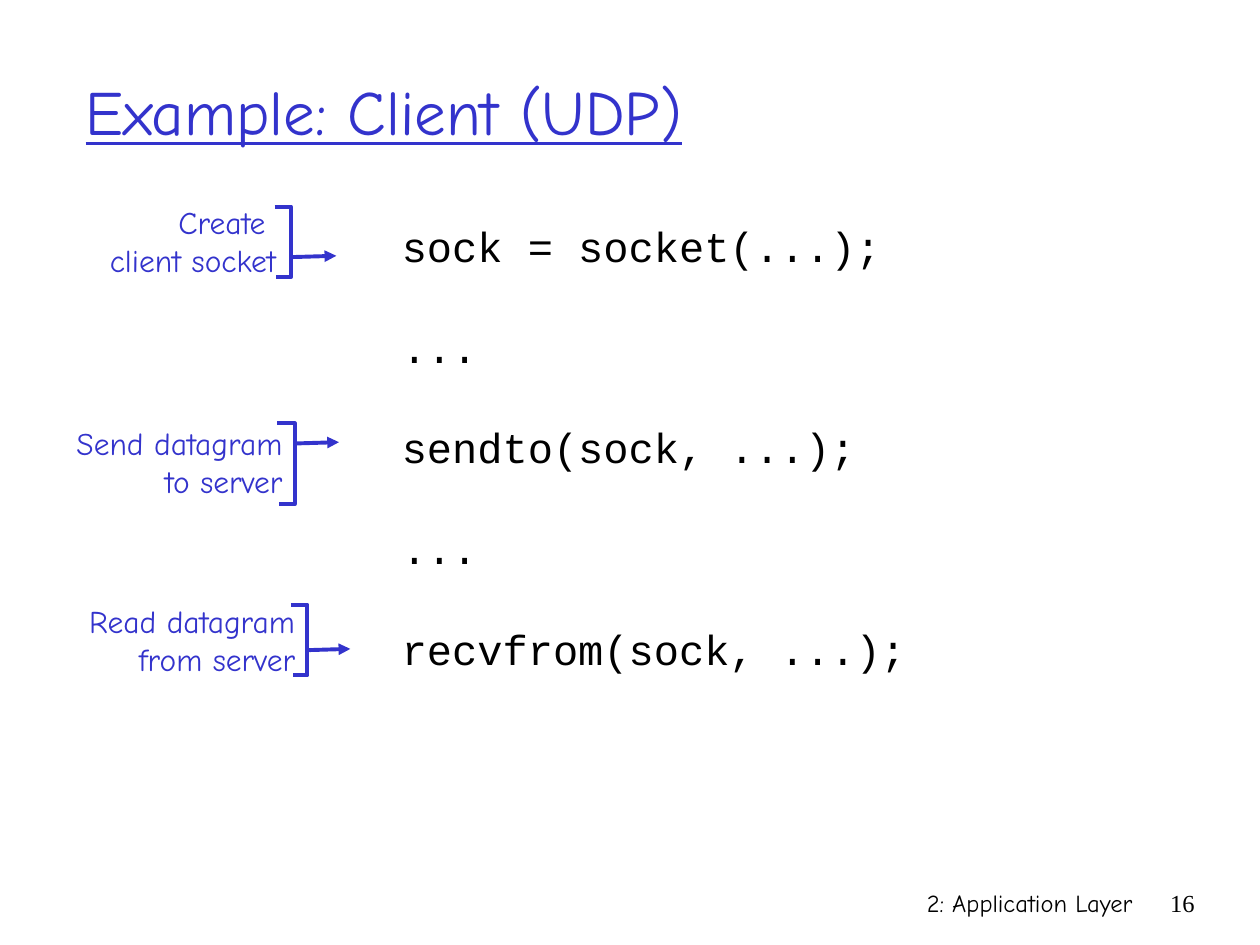
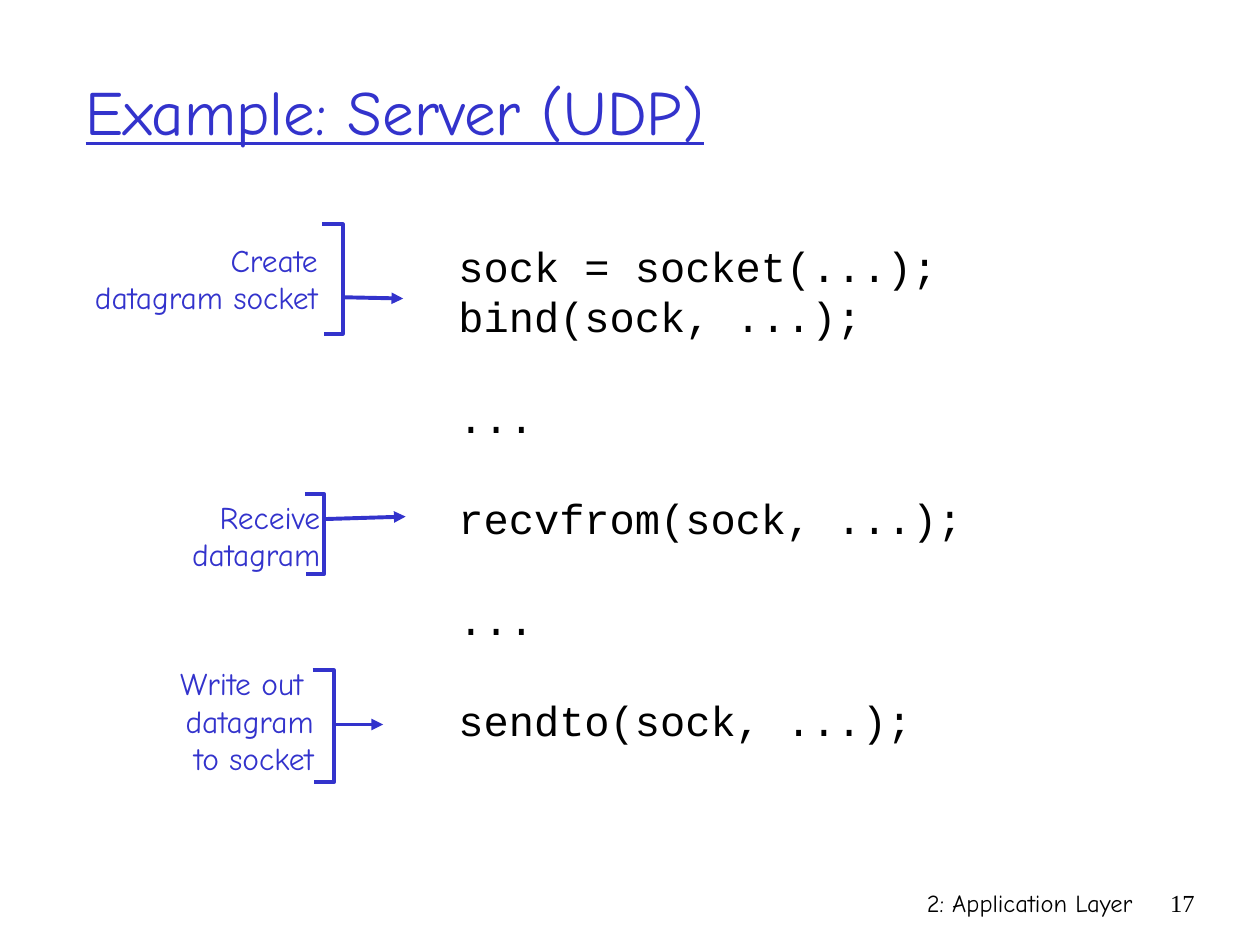
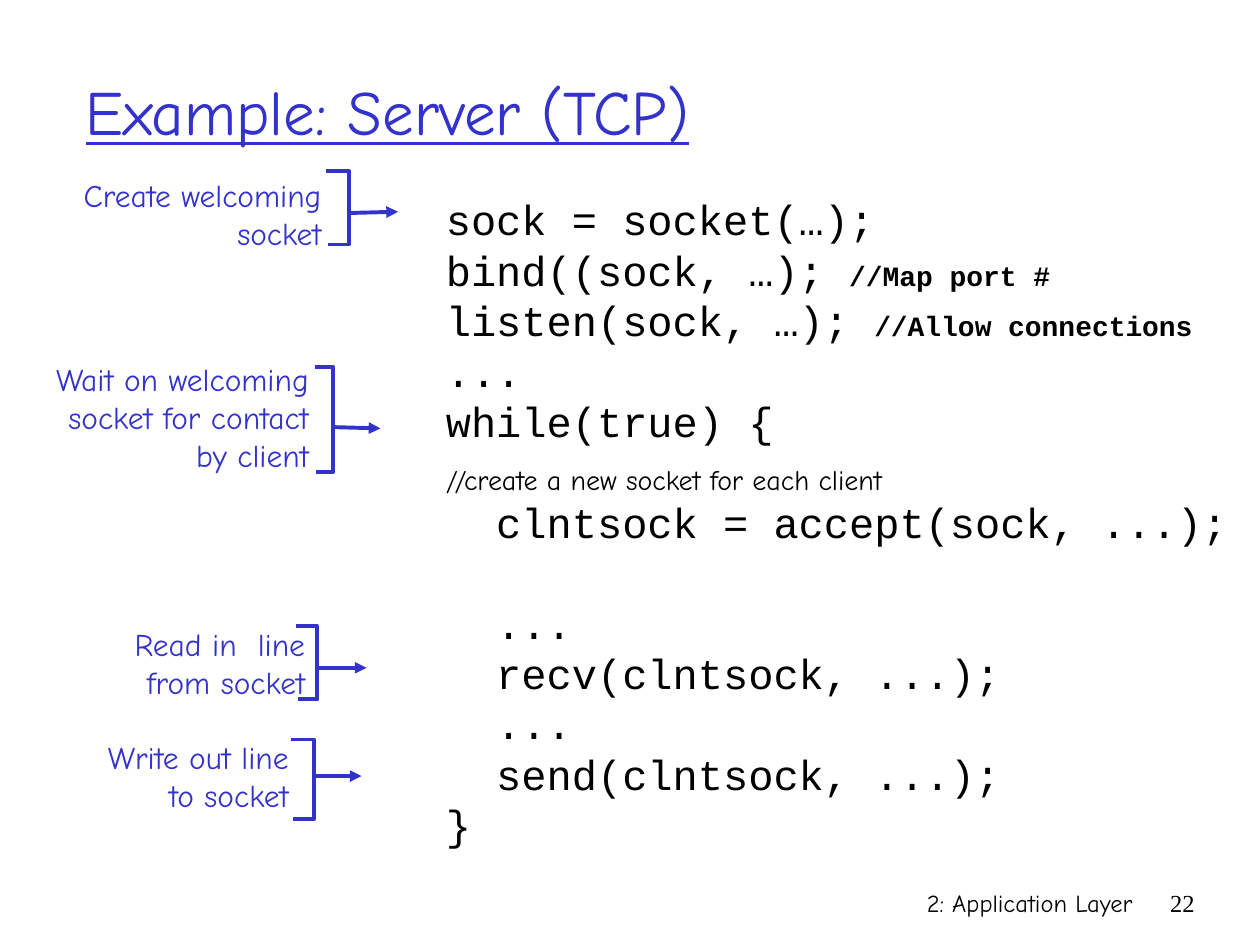
from lxml import etree
from pptx import Presentation
from pptx import util as u
from pptx.dml.color import RGBColor
from pptx.enum import shapes, text
from pptx.oxml.ns import qn

Pt = u.Pt
COLORS = {"ink": "000000", "accent": "3333CC"}
HAND, MONO, SERIF = "Comic Neue", "Courier New", "Times New Roman"
CODE_SIZE, LABEL_SIZE, COMMENT_SIZE = 24, 18, 16
LEADING = 1.2
CHAR_WIDTH = 0.6 * CODE_SIZE

# Callout: label lines, label (left, top, width),
# bracket (left, right, top, bottom), arrow (start y, end x, end y)
SLIDES = [
    {
        "title": "Example: Client (UDP)",
        "number": "16",
        "code_box": (222.5, 122.4, 424.1, 266.4),
        "code": ["sock = socket(...);", "", "...", "", "sendto(sock, ...);",
                 "", "...", "", "recvfrom(sock, ...);"],
        "callouts": [
            (["Create ", "client socket"], (55.4, 112.3, 109.4),
             (157, 166.3, 118.1, 158.4), (146.9, 192.2, 146.2)),
            (["Send datagram", "to server"], (36, 239, 132.5),
             (158.4, 168.5, 241.9, 288), (253.4, 193.7, 252.7)),
            (["Read datagram", "from server"], (42.5, 340.6, 133.2),
             (166.3, 175.7, 345.6, 385.9), (371.5, 200.2, 370.8)),
        ],
    },
    {
        "title": "Example: Server (UDP)",
        "number": "17",
        "code_box": (254.9, 133.9, 403.2, 324),
        "code": ["sock = socket(...);", "bind(sock, ...);", "", "...", "",
                 "recvfrom(sock, ...);", "", "...", "", "sendto(sock, ...);"],
        "callouts": [
            (["Create", "datagram socket"], (45.4, 133.9, 143.3),
             (184.3, 195.8, 128.2, 190.8), (169.9, 230.4, 170.6)),
            (["Receive", "datagram"], (93.6, 280.8, 96.5),
             (174.2, 185, 282.2, 328.3), (296.6, 231.8, 295.2)),
            (["Write out ", "datagram", "to socket"], (95, 375.8, 91.4),
             (178.6, 190.8, 383, 447.1), (414, 218.9, 414)),
        ],
    },
    {
        "title": "Example: Server (TCP)",
        "number": "22",
        "code_box": (247.7, 107.3, 472.3, 381.6),
        "code": ["sock = socket(…);", "bind((sock, …); //Map port #",
                 "listen(sock, …); //Allow connections", "...",
                 "while(true) {", "//create a new socket for each client",
                 "  clntsock = accept(sock, ...);", "", "  ...",
                 "  recv(clntsock, ...);", "  ...",
                 "  send(clntsock, ...);", "}"],
        "callouts": [
            (["Create welcoming", "socket"], (17.3, 97.2, 173.5),
             (186.5, 199.4, 97.9, 139.7), (121.7, 227.5, 121)),
            (["Wait on welcoming", "socket for contact", "by client"],
             (23, 202.3, 160.6),
             (180, 190.1, 209.5, 270), (244.1, 217.4, 244.8)),
            (["Read in  line", "from socket"], (69.8, 353.5, 111.6),
             (169.2, 181.4, 357.8, 399.6), (381.6, 209.5, 381.6)),
            (["Write out line", "to socket"], (54, 418.3, 118.1),
             (166.3, 179.3, 422.6, 468), (443.5, 206.6, 443.5)),
        ],
    },
]


class Deck:
    """Holds the presentation, its style and the current slide."""

    def __init__(self):
        self.prs = Presentation()
        self.prs.slide_width, self.prs.slide_height = Pt(720), Pt(540)
        self.s = None

    def color(self, name):
        return RGBColor.from_string(COLORS[name])

    def add_slide(self, title, number):
        self.s = self.prs.slides.add_slide(self.prs.slide_layouts[6])
        self.footer("2: Application Layer", 426.2, 228.2, HAND)
        self.footer(number, 653.8, 36, SERIF)
        tf = self.text_box(41.8, 18, 612, 90, text.MSO_ANCHOR.MIDDLE)
        tf.text = title
        r = tf.paragraphs[0].runs[0]
        self.style(r, HAND, 36, "accent")
        r.font.underline = True

    def text_box(self, left, top, width, height, anchor=text.MSO_ANCHOR.TOP):
        sp = self.s.shapes.add_textbox(Pt(left), Pt(top), Pt(width), Pt(height))
        tf = sp.text_frame
        tf.word_wrap = True
        tf.vertical_anchor = anchor
        return tf

    def style(self, r, font, size, color="ink"):
        r.font.name, r.font.size = font, Pt(size)
        r.font.color.rgb = self.color(color)

    def footer(self, words, left, width, font):
        tf = self.text_box(left, 504, width, 36)
        tf.text = words
        p = tf.paragraphs[0]
        p.alignment = text.PP_ALIGN.RIGHT
        p.line_spacing = Pt(14 * LEADING)
        self.style(p.runs[0], font, 14)

    def code(self, box, lines):
        """Leading spaces become an indent, an empty line a gap before the next."""
        tf = self.text_box(*box)
        p, gap = tf.paragraphs[0], 0
        for i, line in enumerate(lines):
            if not line:
                gap = CODE_SIZE * LEADING
                continue
            if i:
                p = tf.add_paragraph()
            p.line_spacing, p.space_before = Pt(CODE_SIZE * LEADING), Pt(gap)
            gap = 0
            body = line.lstrip()
            indent = Pt((len(line) - len(body)) * CHAR_WIDTH)
            p._p.get_or_add_pPr().set("marL", str(indent))
            command, slashes, comment = body.partition("//")
            if command:
                r = p.add_run()
                r.text = command
                self.style(r, MONO, CODE_SIZE)
            if slashes:
                r = p.add_run()
                r.text = slashes + comment
                self.style(r, MONO if command else HAND, COMMENT_SIZE)
                r.font.bold = bool(command)

    def label(self, lines, left, top, width):
        pitch = LABEL_SIZE * LEADING
        tf = self.text_box(left, top, width, len(lines) * pitch + 7.2,
                           text.MSO_ANCHOR.MIDDLE)
        tf.word_wrap = False
        tf.text = "\n".join(lines)
        for p in tf.paragraphs:
            p.alignment = text.PP_ALIGN.RIGHT
            p.line_spacing = Pt(pitch)
            self.style(p.runs[0], HAND, LABEL_SIZE, "accent")

    def outline(self, sp):
        sp.line.color.rgb = self.color("accent")
        sp.line.width = Pt(2.25)

    def bracket(self, left, right, top, bottom):
        fb = self.s.shapes.build_freeform(Pt(left), Pt(top))
        corners = [(right, top), (right, bottom), (left + 0.9, bottom)]
        fb.add_line_segments([(Pt(x), Pt(y)) for x, y in corners], close=False)
        sp = fb.convert_to_shape()
        sp.fill.background()
        sp.shadow.inherit = False
        self.outline(sp)

    def arrow(self, x1, y1, x2, y2):
        sp = self.s.shapes.add_connector(
            shapes.MSO_CONNECTOR.STRAIGHT, Pt(x1), Pt(y1), Pt(x2), Pt(y2))
        self.outline(sp)
        etree.SubElement(sp.line._get_or_add_ln(), qn("a:tailEnd"), type="triangle")
        etree.SubElement(sp._element.spPr, qn("a:effectLst"))

    def callout(self, lines, place, bracket, arrow):
        self.label(lines, *place)
        self.bracket(*bracket)
        self.arrow(bracket[1] + 1, *arrow)


def main():
    deck = Deck()
    for content in SLIDES:
        deck.add_slide(content["title"], content["number"])
        deck.code(content["code_box"], content["code"])
        for callout in content["callouts"]:
            deck.callout(*callout)
    deck.prs.save("out.pptx")


if __name__ == "__main__":
    main()
